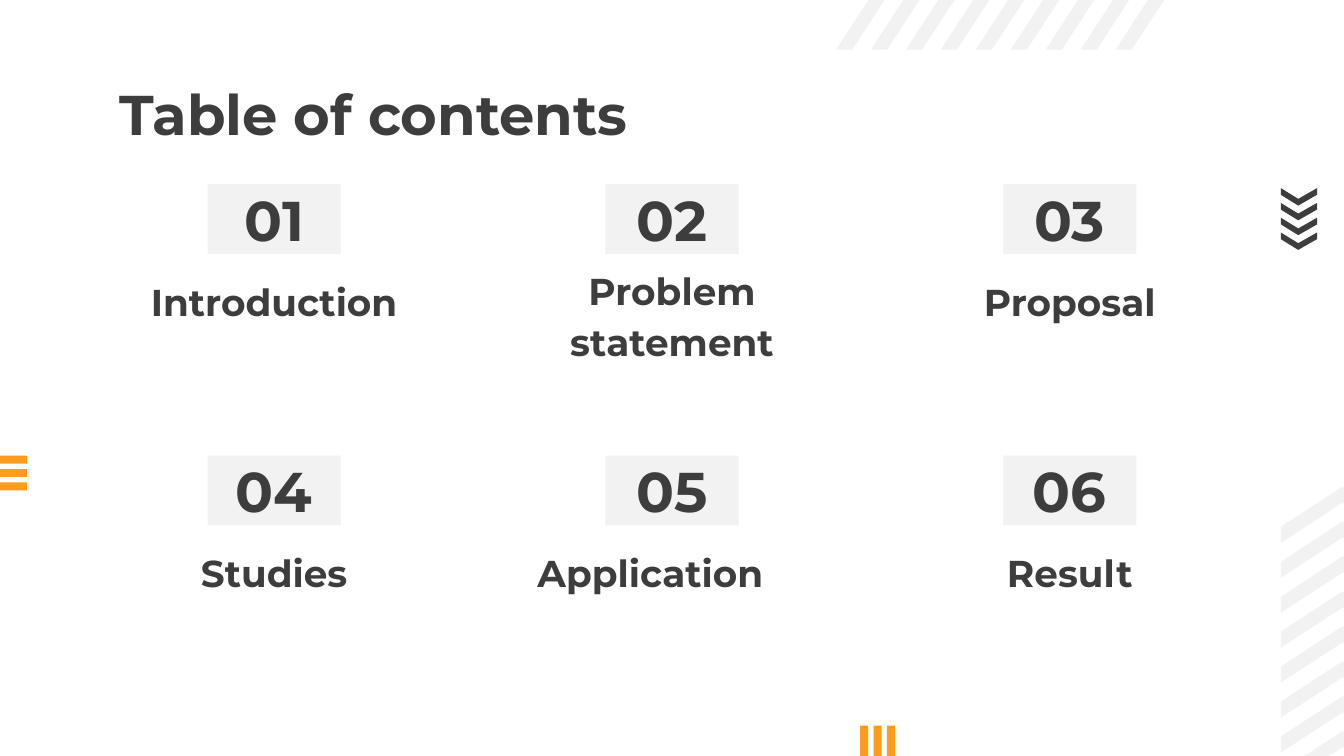
"""Build a table of contents slide with six numbered sections."""
from pptx import Presentation
from pptx.dml.color import RGBColor
from pptx.enum.shapes import MSO_SHAPE
from pptx.enum.text import MSO_ANCHOR, MSO_AUTO_SIZE, PP_ALIGN
from pptx.util import Inches, Pt

DARK = RGBColor(0x3D, 0x3D, 0x3D)
PALE = RGBColor(0xF2, 0xF2, 0xF2)
ORANGE = RGBColor(0xFF, 0x9C, 0x1E)
FONT = "Montserrat"
SECTIONS = ["Introduction", "Problem statement", "Proposal",
            "Studies", "Application", "Result"]
COL_X, COL_STEP, COL_W = 0.78, 2.96, 2.52
ROW_Y, ROW_STEP = 1.37, 2.02
BOX_W, BOX_H = 0.99, 0.52
LABEL_DY = 0.72
STRIPE_STEP, BAR_STEP, ARROW_STEP = 0.26, 0.1, 0.11

prs = Presentation()
prs.slide_width = Inches(10)
prs.slide_height = prs.slide_width * 9 // 16
s = prs.slides.add_slide(prs.slide_layouts[5])


def paint(sp, color):
    sp.shadow.inherit = False
    sp.fill.solid()
    sp.fill.fore_color.rgb = color
    sp.line.fill.background()


def write(sp, text, size, anchor, align):
    tf = sp.text_frame
    tf.word_wrap, tf.auto_size = True, MSO_AUTO_SIZE.NONE
    tf.vertical_anchor = anchor
    tf.margin_left = tf.margin_right = Inches(0.1)
    tf.margin_top = tf.margin_bottom = Inches(0.1)
    p = tf.paragraphs[0]
    p.text, p.alignment = text, align
    p.font.name, p.font.size, p.font.bold = FONT, Pt(size), True
    p.font.color.rgb = DARK
    return tf


side = [[(9.53, y), (9.53, y + 0.12), (9.99, y - 0.18), (10.46, y + 0.12),
         (10.46, y), (9.99, y - 0.3)]
        for y in (3.92 + i * STRIPE_STEP for i in range(8))]
top = [[(x + 0.12, -0.56), (x, -0.56), (x + 0.3, -0.09), (x, 0.37),
        (x + 0.12, 0.37), (x + 0.42, -0.09)]
       for x in (6.22 + i * STRIPE_STEP for i in range(9))]
arrows = [[(9.53, y), (9.66, y + 0.08), (9.8, y), (9.8, y + 0.05),
           (9.66, y + 0.13), (9.53, y + 0.05)]
          for y in (1.4 + i * ARROW_STEP for i in range(4))]
for outlines, color in ((side, PALE), (top, PALE), (arrows, DARK)):
    for outline in outlines:
        pts = [(Inches(x), Inches(y)) for x, y in outline]
        fb = s.shapes.build_freeform(*pts[0])
        fb.add_line_segments(pts[1:], close=True)
        paint(fb.convert_to_shape(), color)

for i in range(3):
    for box in ((-0.18, 3.39 + i * BAR_STEP, 0.38, 0.06),
                (6.4 + i * BAR_STEP, 5.4, 0.06, 0.38)):
        paint(s.shapes.add_shape(MSO_SHAPE.RECTANGLE, *map(Inches, box)), ORANGE)

title = s.shapes.title
title.left, title.top = Inches(0.79), Inches(0.49)
title.width, title.height = Inches(8.43), Inches(0.63)
write(title, "Table of contents", 30, MSO_ANCHOR.TOP, PP_ALIGN.LEFT)

for i, name in enumerate(SECTIONS):
    row, col = divmod(i, 3)
    x, y = COL_X + col * COL_STEP, ROW_Y + row * ROW_STEP
    box = (x + (COL_W - BOX_W) / 2, y, BOX_W, BOX_H)
    sp = s.shapes.add_shape(MSO_SHAPE.RECTANGLE, *map(Inches, box))
    paint(sp, PALE)
    write(sp, f"{i + 1:02}", 30, MSO_ANCHOR.MIDDLE, PP_ALIGN.CENTER)
    height = 0.72 if name == "Problem statement" else 0.42
    sp = s.shapes.add_textbox(*map(Inches, (x, y + LABEL_DY, COL_W, height)))
    tf = write(sp, name, 20, MSO_ANCHOR.BOTTOM, PP_ALIGN.CENTER)
    tf.paragraphs[0].line_spacing = 1.15
    if name == "Application":
        tf.margin_right = Inches(0.42)

prs.save("out.pptx")
